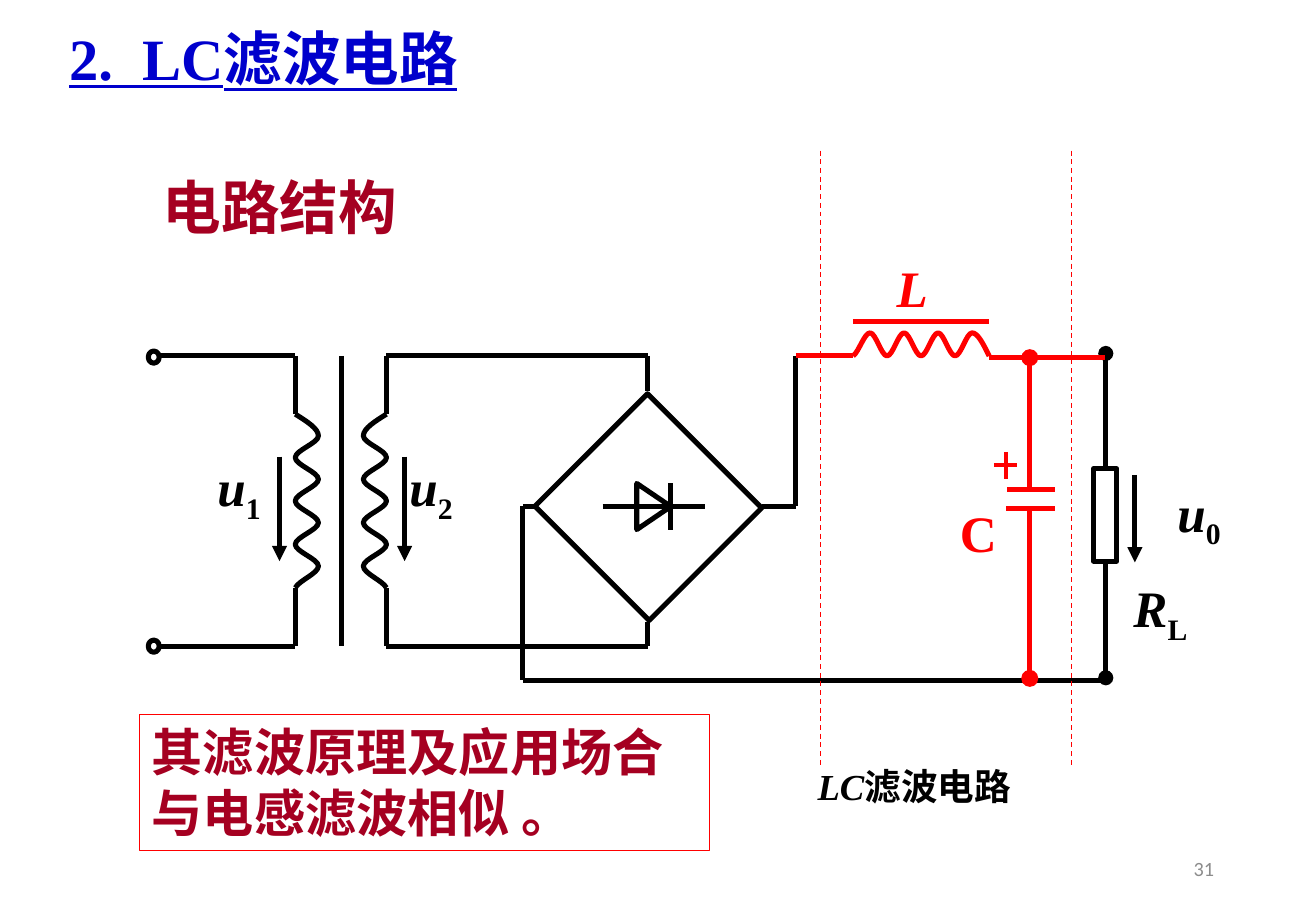
from dataclasses import dataclass
from itertools import pairwise

from lxml import etree
from pptx import Presentation
from pptx.dml.color import RGBColor
from pptx.enum.dml import MSO_LINE_DASH_STYLE as Dash
from pptx.enum.shapes import MSO_CONNECTOR, MSO_SHAPE as Preset
from pptx.enum.text import MSO_ANCHOR as Anchor, PP_ALIGN as Align
from pptx.oxml.ns import qn
from pptx.util import Inches, Pt

COLORS = {"ink": "000000", "filter": "FF0000", "title": "0000CC",
          "accent": "A50021", "number": "8C8C8C"}
SERIF = "Times New Roman"
SYMBOL_SIZE = 30.3
WIRE = 3
THIN = 0.75
Point = tuple[float, float]


@dataclass
class Wire:
    points: list[Point]
    color: str = "ink"
    width: float = WIRE
    tail: str = ""
    dashed: bool = False


@dataclass
class Coil:
    """Winding from start, along one axis, bulging by swing on the other."""
    start: Point
    length: float
    swing: float
    color: str = "ink"
    horizontal: bool = False


@dataclass
class Part:
    preset: Preset
    frame: tuple[float, float, float, float]
    color: str = "ink"
    width: float = WIRE
    rotation: float = 0
    solid: bool = False


@dataclass
class Label:
    text: str
    frame: tuple[float, float, float, float]
    color: str = "ink"
    size: float = SYMBOL_SIZE
    italic: str = ""  # leading italic letters
    subscript: str = ""
    font: str = SERIF
    bold: bool = True
    underline: bool = False
    anchor: Anchor = Anchor.TOP
    align: Align = Align.LEFT


U_ARROW = (3.76, 4.62)
WIRES = [
    # transformer
    Wire([(1.31, 2.93), (2.43, 2.93), (2.43, 3.41)]),
    Wire([(1.31, 5.32), (2.43, 5.32), (2.43, 4.84)]),
    Wire([(2.81, 2.93), (2.81, 5.32)]),
    Wire([(3.18, 3.41), (3.18, 2.93), (5.33, 2.93), (5.33, 3.22)]),
    Wire([(3.18, 4.84), (3.18, 5.32), (5.33, 5.32), (5.33, 5.12)]),
    *(Wire([(x, U_ARROW[0]), (x, U_ARROW[1])], tail="triangle") for x in (2.3, 3.33)),
    # bridge rectifier
    Wire([(4.96, 4.17), (5.8, 4.17)]),
    Wire([(5.52, 3.98), (5.52, 4.36)]),
    Wire([(4.4, 4.17), (4.3, 4.17), (4.3, 5.6), (9.13, 5.6)]),
    Wire([(6.27, 4.17), (6.55, 4.17), (6.55, 2.93)]),
    # load
    Wire([(9.1, 3.86), (9.1, 2.91)], tail="oval"),
    Wire([(9.1, 4.63), (9.1, 5.58)], tail="oval"),
    Wire([(9.34, 3.91), (9.34, 4.63)], tail="triangle"),
    # LC filter
    Wire([(6.55, 2.93), (7.02, 2.93)], "filter"),
    Wire([(7.02, 2.65), (8.14, 2.65)], "filter"),
    Wire([(8.14, 2.94), (9.09, 2.94)], "filter"),
    Wire([(8.29, 4.03), (8.68, 4.03)], "filter"),
    Wire([(8.28, 4.19), (8.68, 4.19)], "filter"),
    Wire([(8.47, 2.92), (8.47, 4.03)], "filter"),
    Wire([(8.47, 4.19), (8.47, 5.61)], "filter"),
    Wire([(8.18, 3.83), (8.37, 3.83)], "filter", 2.25),
    Wire([(8.28, 3.72), (8.28, 3.94)], "filter", 2.25),
    *(Wire([(x, 1.24), (x, 6.3)], "filter", THIN, dashed=True) for x in (6.75, 8.82)),
]
COILS = [
    Coil((2.43, 3.41), 1.43, 0.19),
    Coil((3.18, 3.41), 1.43, -0.19),
    Coil((8.14, 2.93), -1.12, -0.19, "filter", horizontal=True),
]
CONCLUSION_FRAME = (1.15, 5.88, 4.69, 1.12)
PARTS = [
    *(Part(Preset.OVAL, (1.22, y, 0.09, 0.1)) for y in (2.89, 5.27)),
    Part(Preset.RECTANGLE, (4.67, 3.52, 1.33, 1.31), rotation=45),
    Part(Preset.ISOSCELES_TRIANGLE, (5.19, 4.03, 0.38, 0.28), rotation=90),
    Part(Preset.RECTANGLE, (9, 3.86, 0.19, 0.76)),
    *(Part(Preset.OVAL, (8.41, y, 0.13, 0.13), "filter", THIN, solid=True)
      for y in (2.88, 5.52)),
    Part(Preset.RECTANGLE, CONCLUSION_FRAME, "filter", THIN),
]
LABELS = [
    Label("2.  LC滤波电路", (0.47, 0.13, 3.67, 0.68), "title", 34.7,
          underline=True, anchor=Anchor.MIDDLE),
    Label("电路结构", (1.24, 1.36, 2.56, 0.68), "accent", 34.7),
    Label("", (1.69, 3.7, 1.07, 0.61), italic="u", subscript="1"),
    Label("", (3.27, 3.7, 0.98, 0.61), italic="u", subscript="2"),
    Label("", (9.59, 3.91, 0.84, 0.61), italic="u", subscript="0"),
    Label("", (9.23, 4.7, 1.06, 0.61), italic="R", subscript="L"),
    Label("", (7.28, 2.06, 0.46, 0.61), "filter", italic="L"),
    Label("C", (7.8, 4.08, 0.52, 0.61), "filter"),
    Label("滤波电路", (6.63, 6.24, 1.81, 0.47), size=21.7, italic="LC"),
    Label("其滤波原理及应用场合与电感滤波相似 。", CONCLUSION_FRAME, "accent"),
    Label("31", (7.65, 6.95, 2.44, 0.4), "number", 12, font="Calibri",
          bold=False, anchor=Anchor.MIDDLE, align=Align.RIGHT),
]


def rgb(color: str) -> RGBColor:
    return RGBColor.from_string(COLORS[color])


def set_line(line, color: str, width: float) -> None:
    line.color.rgb = rgb(color)
    line.width = Pt(width)


def draw_wire(shapes, wire: Wire) -> None:
    for start, end in pairwise(wire.points):
        segment = shapes.add_connector(MSO_CONNECTOR.STRAIGHT,
                                       *map(Inches, (*start, *end)))
        set_line(segment.line, wire.color, wire.width)
        if wire.dashed:
            segment.line.dash_style = Dash.DASH
        if wire.tail:
            etree.SubElement(segment.line._get_or_add_ln(), qn("a:tailEnd"), type=wire.tail)
        etree.SubElement(segment._element.spPr, qn("a:effectLst"))


def draw_coil(shapes, coil: Coil, halves: int = 8) -> None:
    """Lay out the Bezier points as a polyline, then join them by threes into curves."""
    def place(along: float, across: float) -> Point:
        a, b = along * coil.length / halves, across * coil.swing
        dx, dy = (a, b) if coil.horizontal else (b, a)
        return Inches(coil.start[0] + dx), Inches(coil.start[1] + dy)

    points = []
    for i in range(halves):
        side, other = i % 2, (i + 1) % 2
        leave = 0.5 if i == 0 else side
        arrive = 0.16 if i == halves - 1 else other
        points += [place(i + 1 / 3, leave), place(i + 2 / 3, arrive), place(i + 1, other)]
    builder = shapes.build_freeform(*place(0, 0))
    builder.add_line_segments(points, close=False)
    winding = builder.convert_to_shape()
    winding.shadow.inherit = False
    winding.fill.background()
    set_line(winding.line, coil.color, WIRE)

    path = next(winding._element.iter(qn("a:path")))
    segments = path.findall(qn("a:lnTo"))
    for i in range(0, len(segments), 3):
        curve = etree.SubElement(path, qn("a:cubicBezTo"))
        for segment in segments[i:i + 3]:
            curve.append(segment[0])
            path.remove(segment)


def draw_part(shapes, part: Part) -> None:
    symbol = shapes.add_shape(part.preset, *map(Inches, part.frame))
    symbol.shadow.inherit = False
    symbol.rotation = part.rotation
    set_line(symbol.line, part.color, part.width)
    if part.solid:
        symbol.fill.solid()
        symbol.fill.fore_color.rgb = rgb(part.color)
    else:
        symbol.fill.background()


def draw_label(shapes, label: Label) -> None:
    frame = shapes.add_textbox(*map(Inches, label.frame)).text_frame
    frame.word_wrap = True
    frame.vertical_anchor = label.anchor
    paragraph = frame.paragraphs[0]
    paragraph.alignment = label.align
    font = paragraph.font
    font.name, font.size, font.bold = label.font, Pt(label.size), label.bold
    font.underline = label.underline
    font.color.rgb = rgb(label.color)
    for text in filter(None, (label.italic, label.text, label.subscript)):
        run = paragraph.add_run()
        run.text = text
        if text == label.italic:
            run.font.italic = True
        if text == label.subscript:
            run._r.get_or_add_rPr().set("baseline", "-25000")


def main() -> None:
    deck = Presentation()
    deck.slide_width, deck.slide_height = Inches(10.83), Inches(7.5)
    shapes = deck.slides.add_slide(deck.slide_layouts[6]).shapes
    for draw, items in ((draw_wire, WIRES), (draw_coil, COILS),
                        (draw_part, PARTS), (draw_label, LABELS)):
        for item in items:
            draw(shapes, item)
    deck.save("out.pptx")


if __name__ == "__main__":
    main()
